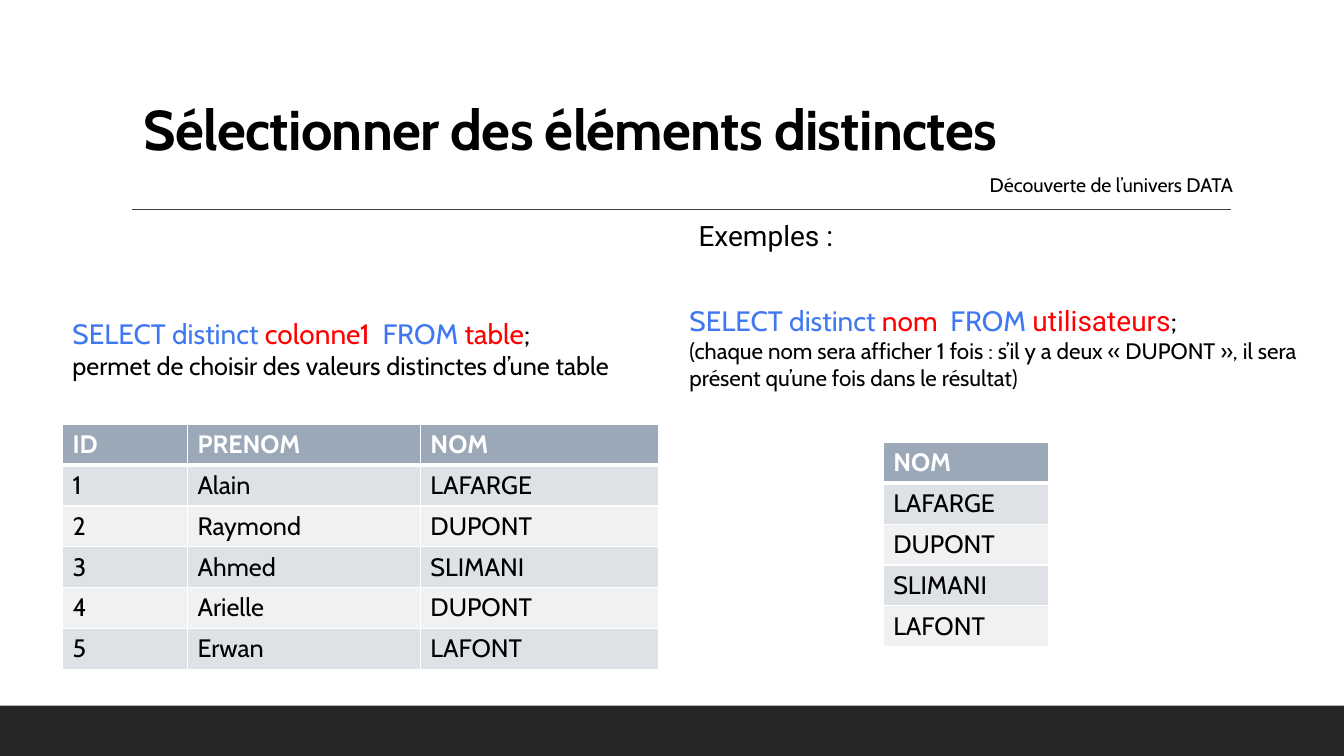
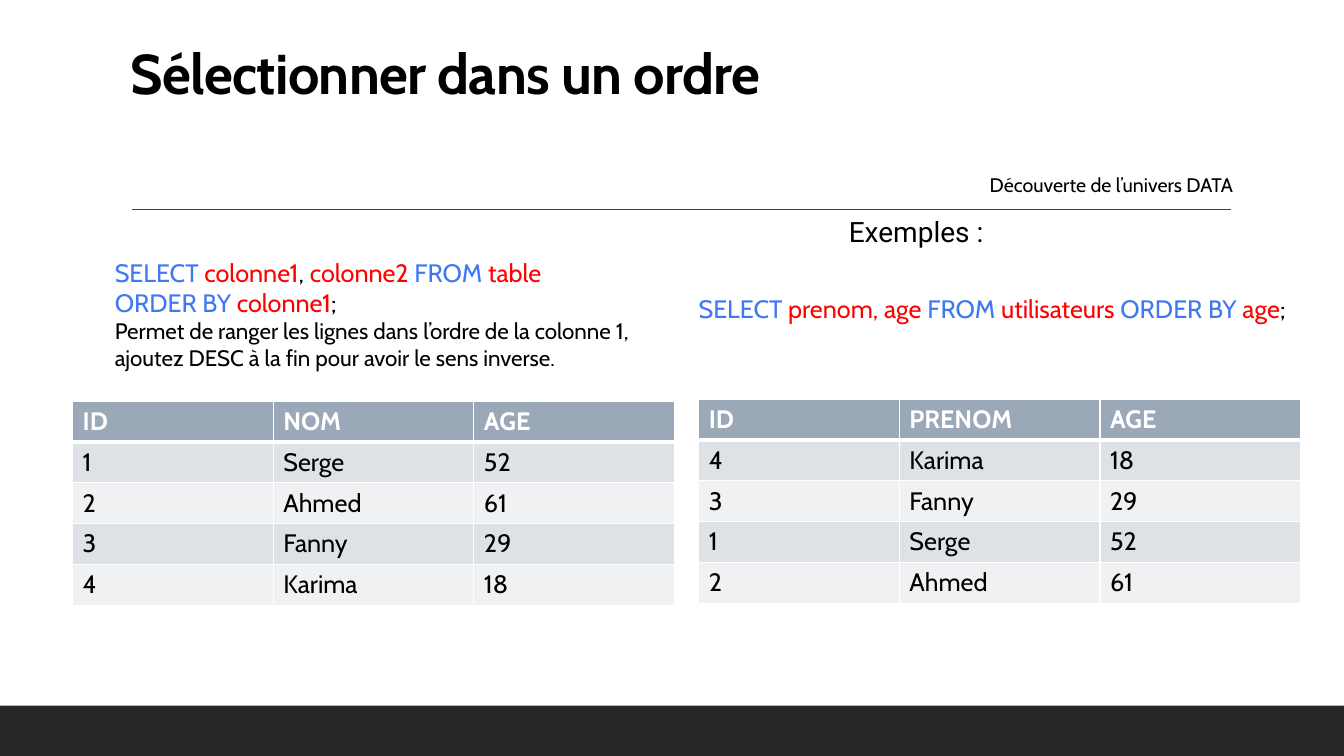
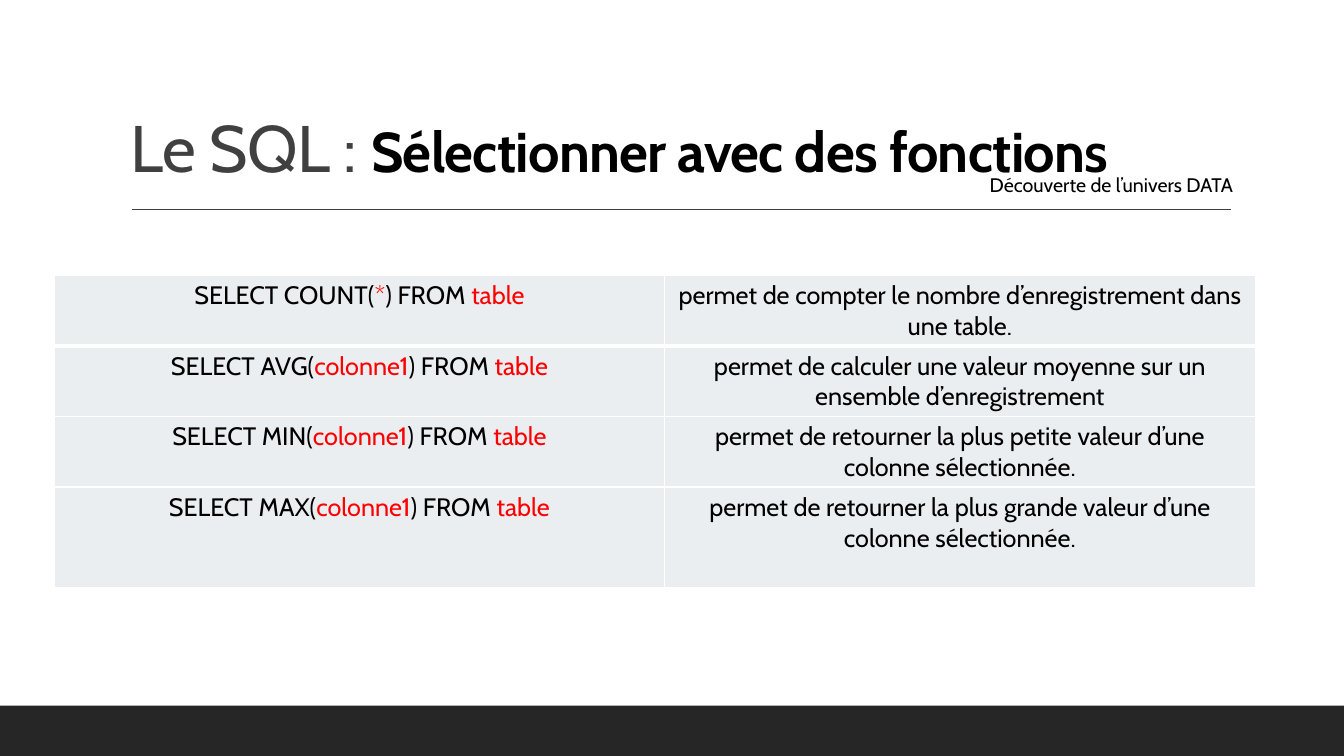
from lxml.etree import SubElement
from pptx import Presentation
from pptx.dml.color import RGBColor
from pptx.enum.shapes import MSO_CONNECTOR as Connector, MSO_SHAPE as Shape
from pptx.enum.text import MSO_ANCHOR as Anchor, MSO_AUTO_SIZE as AutoSize, PP_ALIGN as Align
from pptx.oxml.ns import qn
from pptx.util import Inches, Pt

BLACK, WHITE, GREY, BAND = "000000", "FFFFFF", "404040", "262626"
BLUE, RED = "4078F2", "FF0000"
HEADER_FILL, ROW_FILLS, FUNCTION_FILL = "9BA8B7", ("DEE1E6", "EFF1F3"), "EBEEF1"
ROW_HEIGHT = 0.405


def rgb(value):
    return RGBColor.from_string(value)


def paint(target, color):
    target.fill.solid()
    target.fill.fore_color.rgb = rgb(color)


def set_border(cell, thick_side=None):
    """Give a cell white borders of 1 pt, with 3 pt on the thick side."""
    properties = cell._tc.get_or_add_tcPr()
    for side in ("lnL", "lnR", "lnT", "lnB"):
        width = Pt(3 if side == thick_side else 1)
        line = SubElement(properties, qn(f"a:{side}"), w=str(width))
        fill = SubElement(line, qn("a:solidFill"))
        SubElement(fill, qn("a:srgbClr"), val=WHITE)


class Deck:
    font = "Cabin"

    def __init__(self):
        self.presentation = Presentation()
        self.presentation.slide_width = Inches(13.33)
        self.presentation.slide_height = Inches(7.5)
        self.slide = None

    def new_slide(self, title_runs, title_box):
        layout = self.presentation.slide_layouts[6]
        self.slide = self.presentation.slides.add_slide(layout)
        self.band(0, 7, 13.33, 0.5)
        self.rule(1.31, 12.21, 2.08)
        self.title(title_runs, title_box)
        self.text((8.47, 1.67, 3.86, 0.34), [["Découverte de l’univers DATA"]],
                  size=14, align=Align.RIGHT)

    def band(self, *box):
        band = self.slide.shapes.add_shape(Shape.RECTANGLE, *map(Inches, box))
        band.shadow.inherit = False
        paint(band, BAND)
        band.line.fill.background()

    def rule(self, left, right, y):
        rule = self.slide.shapes.add_connector(
            Connector.STRAIGHT, Inches(left), Inches(y), Inches(right), Inches(y))
        rule.line.color.rgb = rgb(GREY)
        rule.line.width = Pt(1)
        SubElement(rule._element.spPr, qn("a:effectLst"))

    def add_runs(self, paragraph, runs, align=Align.LEFT, **defaults):
        """Add runs, each a plain string or a (text, format) pair."""
        paragraph.alignment = align
        for item in runs:
            text, changes = (item, {}) if isinstance(item, str) else item
            style = {"size": 18, "name": self.font, "bold": False, "color": BLACK,
                     **defaults, **changes}
            run = paragraph.add_run()
            run.text = text
            run.font.color.rgb = rgb(style.pop("color"))
            style["size"] = Pt(style["size"])
            for attribute, value in style.items():
                setattr(run.font, attribute, value)

    def text(self, box, paragraphs, fill=None, auto_size=AutoSize.SHAPE_TO_FIT_TEXT, **style):
        area = self.slide.shapes.add_textbox(*map(Inches, box))
        if fill:
            paint(area, fill)
        frame = area.text_frame
        frame.word_wrap = True
        frame.auto_size = auto_size
        for index, runs in enumerate(paragraphs):
            paragraph = frame.add_paragraph() if index else frame.paragraphs[0]
            self.add_runs(paragraph, runs, **style)
        return frame

    def title(self, runs, box):
        frame = self.text(box, [runs], auto_size=AutoSize.NONE, size=40, bold=True)
        frame.vertical_anchor = Anchor.BOTTOM
        paragraph = frame.paragraphs[0]
        paragraph.line_spacing = 0.9
        for run in paragraph.runs:
            run.font._element.set("spc", "-50")

    def examples_label(self, left, top):
        self.text((left, top, 1.64, 0.44), [["Exemples :"]], size=20, name="Roboto")

    def grid(self, left, top, widths, heights, rows):
        """Add a bare table and yield the row index, cell and content of each value."""
        table = self.slide.shapes.add_table(
            len(rows), len(widths), Inches(left), Inches(top),
            Inches(sum(widths)), Inches(sum(heights))).table
        table.first_row = table.horz_banding = False
        for column, width in zip(table.columns, widths):
            column.width = Inches(width)
        for row, height in zip(table.rows, heights):
            row.height = Inches(height)
        for row_index, values in enumerate(rows):
            for column_index, value in enumerate(values):
                cell = table.cell(row_index, column_index)
                set_border(cell, {0: "lnB", 1: "lnT"}.get(row_index))
                yield row_index, cell, value

    def data_table(self, left, top, widths, rows):
        heights = [ROW_HEIGHT] * len(rows)
        for row_index, cell, value in self.grid(left, top, widths, heights, rows):
            is_header = row_index == 0
            paint(cell, HEADER_FILL if is_header else ROW_FILLS[(row_index - 1) % 2])
            self.add_runs(cell.text_frame.paragraphs[0], [value], bold=is_header,
                          color=WHITE if is_header else BLACK)

    def function_table(self, left, top, widths, heights, rows):
        for _, cell, runs in self.grid(left, top, widths, heights, rows):
            paint(cell, FUNCTION_FILL)
            self.add_runs(cell.text_frame.paragraphs[0], runs, align=Align.CENTER)


def keyword(text):
    return text, {"color": BLUE}


def name(text, **style):
    return text, {"color": RED, **style}


def distinct_slide(deck):
    deck.new_slide(["Sélectionner des éléments distinctes"], (1.33, 0.24, 11, 1.42))
    deck.examples_label(6.83, 2.12)
    deck.text((0.62, 3.09, 6.67, 0.74), [
        [keyword("SELECT distinct "), name("colonne1  "), keyword("FROM "), name("table"), ";"],
        [("permet de choisir des valeurs distinctes d’une table", {"size": 18})],
    ], size=20)
    deck.text((6.74, 2.96, 6.23, 0.98), [
        [keyword("SELECT distinct "), name("nom  "), keyword("FROM "),
         name("utilisateurs", name="Roboto"), ";"],
        [("(chaque nom sera afficher 1 fois : s’il y a deux « DUPONT », "
          "il sera présent qu’une fois dans le résultat)", {"size": 16})],
    ], fill=WHITE, size=20)
    deck.data_table(0.62, 4.21, [1.24, 2.31, 2.36], [
        ("ID", "PRENOM", "NOM"),
        ("1", "Alain", "LAFARGE"),
        ("2", "Raymond", "DUPONT"),
        ("3", "Ahmed", "SLIMANI"),
        ("4", "Arielle", "DUPONT"),
        ("5", "Erwan", "LAFONT"),
    ])
    distinct_names = ("NOM", "LAFARGE", "DUPONT", "SLIMANI", "LAFONT")
    deck.data_table(8.76, 4.39, [1.64], [(value,) for value in distinct_names])


def order_slide(deck):
    deck.new_slide(["Sélectionner dans un ordre"], (1.2, 0.31, 11, 0.8))
    small = {"size": 16}
    deck.text((1.04, 2.5, 5.66, 1.25), [
        [keyword("SELECT "), name("colonne1"), ", ", name("colonne2 "),
         keyword("FROM "), name("table")],
        [keyword("ORDER BY "), name("colonne1"), ";"],
        [("Permet de ranger les lignes dans l’ordre de la colonne 1,", small)],
        [("ajoutez DESC à la fin pour avoir le sens inverse.", small)],
    ], fill=WHITE)
    deck.examples_label(8.32, 2.08)
    deck.text((6.83, 2.86, 6.09, 0.4), [
        [keyword("SELECT "), name("prenom, age "), keyword("FROM "), name("utilisateurs "),
         keyword("ORDER BY "), name("age"), ";"],
    ], fill=WHITE)
    people = [("1", "Serge", "52"), ("2", "Ahmed", "61"),
              ("3", "Fanny", "29"), ("4", "Karima", "18")]
    by_age = sorted(people, key=lambda person: int(person[2]))
    widths = [1.99] * 3
    deck.data_table(0.72, 3.98, widths, [("ID", "NOM", "AGE"), *people])
    deck.data_table(6.93, 3.96, widths, [("ID", "PRENOM", "AGE"), *by_age])


def functions_slide(deck):
    deck.new_slide([("Le SQL : ", {"size": 47, "bold": False, "color": GREY}),
                    "Sélectionner avec des fonctions"], (1.2, 0.31, 11, 1.59))
    functions = [
        ("COUNT", "*", "permet de compter le nombre d’enregistrement dans une table."),
        ("AVG", "colonne1",
         "permet de calculer une valeur moyenne sur un ensemble d’enregistrement"),
        ("MIN", "colonne1",
         "permet de retourner la plus petite valeur d’une colonne sélectionnée."),
        ("MAX", "colonne1",
         "permet de retourner la plus grande valeur d’une colonne sélectionnée."),
    ]
    rows = [([f"SELECT {function}(", name(argument), ") FROM ", name("table")], [purpose])
            for function, argument, purpose in functions]
    deck.function_table(0.54, 2.73, [6.05, 5.86], [0.7, 0.7, 0.7, 1], rows)


def main():
    deck = Deck()
    for build in (distinct_slide, order_slide, functions_slide):
        build(deck)
    deck.presentation.save("out.pptx")


if __name__ == "__main__":
    main()
